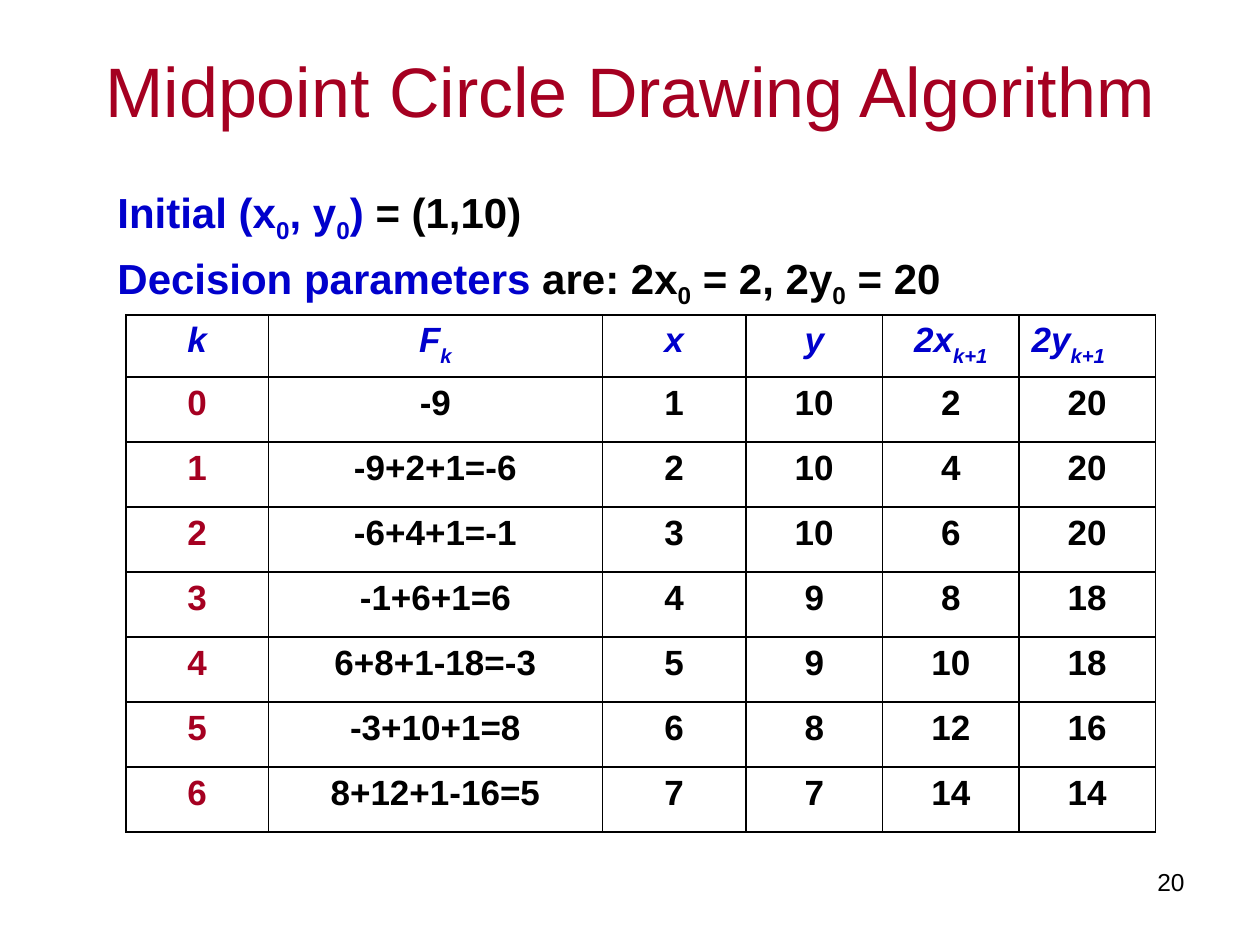
from dataclasses import dataclass

import pptx
import pptx.dml.color
import pptx.enum.text
import pptx.oxml
import pptx.oxml.ns
import pptx.util

Pt = pptx.util.Pt
ALIGN = pptx.enum.text.PP_ALIGN
ANCHOR = pptx.enum.text.MSO_ANCHOR
COLORS = {"red": "A50021", "blue": "0000CC", "black": "000000", "white": "FFFFFF"}


@dataclass
class Span:
    text: str
    color: str = "black"
    sub: int = 0


@dataclass
class Style:
    size: float
    bold: bool = False
    italic: bool = False


def rgb(name: str) -> pptx.dml.color.RGBColor:
    return pptx.dml.color.RGBColor.from_string(COLORS[name])


def write(p, spans: list[Span], style: Style, align=ALIGN.LEFT) -> None:
    p.alignment = align
    for span in spans:
        r = p.add_run()
        r.text = span.text
        r.font.name = "Arial"
        r.font.size = Pt(style.size)
        r.font.bold = style.bold
        r.font.italic = style.italic
        r.font.color.rgb = rgb(span.color)
        if span.sub:
            r.font._element.set("baseline", str(-1000 * span.sub))


def add_text(s, box: tuple, lines: list[list[Span]], style: Style,
             align=ALIGN.LEFT, anchor=ANCHOR.TOP, before: float = 0) -> None:
    tf = s.shapes.add_textbox(*map(Pt, box)).text_frame
    tf.word_wrap = True
    tf.vertical_anchor = anchor
    for i, spans in enumerate(lines):
        p = tf.add_paragraph() if i else tf.paragraphs[0]
        p.space_before = Pt(before)
        write(p, spans, style, align)


def add_borders(cell) -> None:
    tc_pr = cell._tc.get_or_add_tcPr()
    for i, side in enumerate(("lnL", "lnR", "lnT", "lnB")):
        tc_pr.insert(i, pptx.oxml.parse_xml(
            f'<a:{side} {pptx.oxml.ns.nsdecls("a")} w="{Pt(1)}"><a:solidFill>'
            f'<a:srgbClr val="{COLORS["black"]}"/></a:solidFill></a:{side}>'))


def fill_cell(cell, spans: list[Span], style: Style, align) -> None:
    cell.fill.solid()
    cell.fill.fore_color.rgb = rgb("white")
    p = cell.text_frame.paragraphs[0]
    write(p, spans, style, align)
    p_pr = p._p.get_or_add_pPr()
    p_pr.set("marL", str(Pt(27)))
    p_pr.set("indent", str(Pt(-27)))
    add_borders(cell)


HEADERS = [("k", ""), ("F", "k"), ("x", ""), ("y", ""), ("2x", "k+1"), ("2y", "k+1")]
STEPS = [
    ("-9", 1, 10),
    ("-9+2+1=-6", 2, 10),
    ("-6+4+1=-1", 3, 10),
    ("-1+6+1=6", 4, 9),
    ("6+8+1-18=-3", 5, 9),
    ("-3+10+1=8", 6, 8),
    ("8+12+1-16=5", 7, 7),
]
COL_WIDTHS = [81.3, 191, 81.9, 78.2, 77.9, 77.9]
ROW_HEIGHTS = [33.7] + [37.15] * len(STEPS)


def add_steps_table(s) -> None:
    tbl = s.shapes.add_table(len(ROW_HEIGHTS), len(COL_WIDTHS), Pt(72), Pt(180),
                             Pt(sum(COL_WIDTHS)), Pt(sum(ROW_HEIGHTS))).table
    for col, width in zip(tbl.columns, COL_WIDTHS):
        col.width = Pt(width)
    for row, height in zip(tbl.rows, ROW_HEIGHTS):
        row.height = Pt(height)
    for j, (base, sub) in enumerate(HEADERS):
        spans = [Span(base, "blue")] + ([Span(sub, "blue", 30)] if sub else [])
        align = ALIGN.LEFT if j == len(HEADERS) - 1 else ALIGN.CENTER
        fill_cell(tbl.cell(0, j), spans, Style(20, True, True), align)
    for k, (f, x, y) in enumerate(STEPS):
        for j, value in enumerate((k, f, x, y, 2 * x, 2 * y)):
            span = Span(str(value), "black" if j else "red")
            fill_cell(tbl.cell(k + 1, j), [span], Style(20, True), ALIGN.CENTER)


def main() -> None:
    prs = pptx.Presentation()
    prs.slide_width, prs.slide_height = Pt(720), Pt(540)
    s = prs.slides.add_slide(prs.slide_layouts[6])
    add_text(s, (36, 6, 648, 90), [[Span("Midpoint Circle Drawing Algorithm", "red")]],
             Style(40), ALIGN.CENTER, ANCHOR.MIDDLE)
    add_steps_table(s)
    add_text(s, (516, 492, 168, 37), [[Span("20")]], Style(14), ALIGN.RIGHT)
    add_text(s, (60, 103, 624, 65), [
        [Span("Initial (x", "blue"), Span("0", "blue", 25), Span(", y", "blue"),
         Span("0", "blue", 25), Span(")", "blue"), Span(" = (1,10)")],
        [Span("Decision parameters", "blue"), Span(" are: 2x"), Span("0", sub=25),
         Span(" = 2, 2y"), Span("0", sub=25), Span(" = 20")],
    ], Style(24, True), before=4.8)
    prs.save("out.pptx")


if __name__ == "__main__":
    main()
